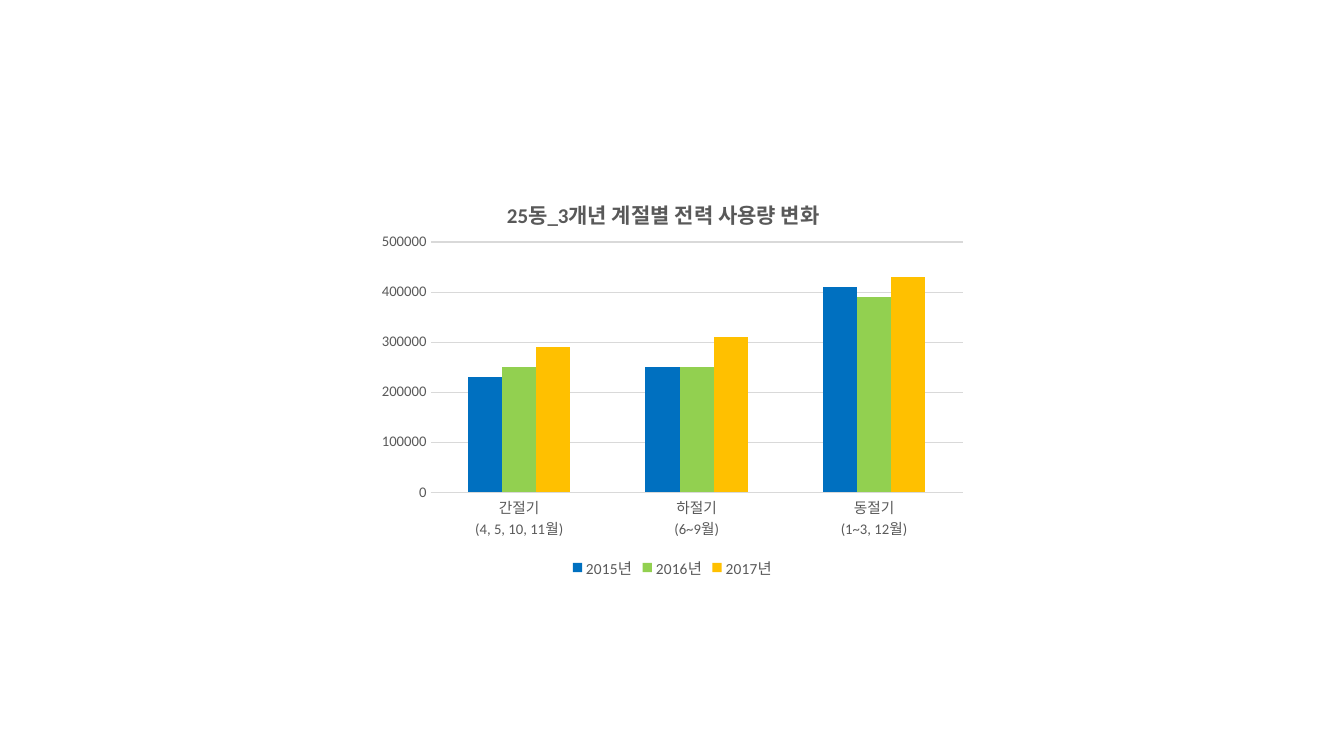
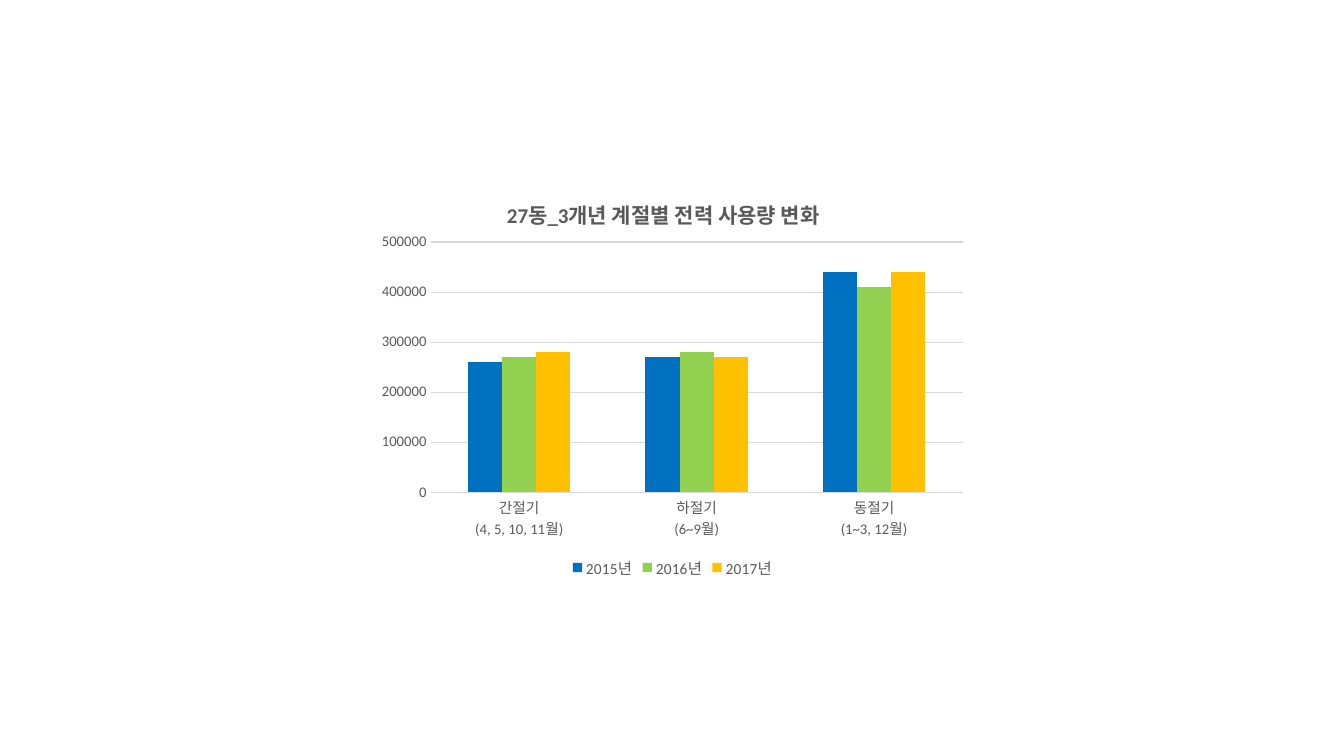
from dataclasses import dataclass

from lxml import etree
from pptx import Presentation
from pptx import util as u
from pptx.chart.data import CategoryChartData
from pptx.dml.color import RGBColor
from pptx.enum import chart as chart_enum
from pptx.oxml.ns import qn


@dataclass(frozen=True)
class Theme:
    font: str = "Calibri"
    text: str = "595959"
    line: str = "D9D9D9"
    series: tuple = ("0070C0", "92D050", "FFC000")
    title_size: float = 15
    axis_size: float = 10.5
    legend_size: float = 11
    line_width: float = 0.75


THEME = Theme()
CHART_BOX = (3.67, 1.71, 6, 4.07)
YEARS = ("2015년", "2016년", "2017년")
SEASONS = ("간절기\n(4, 5, 10, 11월)", "하절기\n(6~9월)", "동절기\n(1~3, 12월)")
USAGE_BY_BUILDING = {
    "25동": (
        (230000, 250000, 410000),
        (250000, 250000, 390000),
        (290000, 310000, 430000),
    ),
    "27동": (
        (260000, 270000, 440000),
        (270000, 280000, 410000),
        (280000, 270000, 440000),
    ),
}


def format_font(font, size, color=THEME.text, bold=False):
    font.name = THEME.font
    font.size = u.Pt(size)
    font.bold = bold
    font.color.rgb = RGBColor.from_string(color)


def write_text(text_frame, text, **font_format):
    paragraph = text_frame.paragraphs[0]
    run = paragraph.add_run()
    run.text = text
    format_font(run.font, **font_format)


def format_line(line):
    line.color.rgb = RGBColor.from_string(THEME.line)
    line.width = u.Pt(THEME.line_width)


def set_layout(element, index, **fractions):
    """Place a chart part by fractions of the chart size (x, y, w, h)."""
    for old_layout in element.findall(qn("c:layout")):
        element.remove(old_layout)
    layout = etree.Element(qn("c:layout"))
    manual = etree.SubElement(layout, qn("c:manualLayout"))
    settings = {"xMode": "edge", "yMode": "edge", **fractions}
    if "w" in fractions:
        settings = {"layoutTarget": "inner", **settings}
    for name, value in settings.items():
        etree.SubElement(manual, qn(f"c:{name}")).set("val", str(value))
    element.insert(index, layout)


def style_title(chart, title):
    chart.has_title = True
    write_text(chart.chart_title.text_frame, title, size=THEME.title_size, bold=True)
    set_layout(chart.chart_title._element, 1, x=0.22, y=0.05)


def style_axes(chart):
    for axis in (chart.category_axis, chart.value_axis):
        axis.major_tick_mark = chart_enum.XL_TICK_MARK.NONE
        axis.minor_tick_mark = chart_enum.XL_TICK_MARK.NONE
        format_font(axis.tick_labels.font, THEME.axis_size)
    format_line(chart.category_axis.format.line)

    value_axis = chart.value_axis
    value_axis.minimum_scale = 0
    value_axis.maximum_scale = 500000
    value_axis.major_unit = 100000
    value_axis.has_major_gridlines = True
    format_line(value_axis.major_gridlines.format.line)
    value_axis.format.line.fill.background()


def style_columns(chart):
    plot = chart.plots[0]
    plot.gap_width = 219
    plot.overlap = 0
    plot.vary_by_categories = False
    for series, color in zip(plot.series, THEME.series):
        series.format.fill.solid()
        series.format.fill.fore_color.rgb = RGBColor.from_string(color)
    plot_area = chart._chartSpace.find(".//" + qn("c:plotArea"))
    set_layout(plot_area, 0, x=0.1, y=0.17, w=0.88, h=0.61)


def style_legend(chart):
    chart.has_legend = True
    chart.legend.position = chart_enum.XL_LEGEND_POSITION.BOTTOM
    chart.legend.include_in_layout = False
    format_font(chart.legend.font, THEME.legend_size)


def add_usage_chart(slide, box, building, usage):
    data = CategoryChartData(number_format="General")
    data.categories = SEASONS
    for year, values in zip(YEARS, usage):
        data.add_series(year, values)
    chart = slide.shapes.add_chart(
        chart_enum.XL_CHART_TYPE.COLUMN_CLUSTERED, *map(u.Inches, box), data
    ).chart
    format_font(chart.font, 10, color="000000")
    style_title(chart, f"{building}_3개년 계절별 전력 사용량 변화")
    style_axes(chart)
    style_columns(chart)
    style_legend(chart)


def main():
    presentation = Presentation()
    presentation.slide_width = u.Inches(13.33)
    presentation.slide_height = u.Inches(7.5)
    blank = presentation.slide_layouts[6]
    for building, usage in USAGE_BY_BUILDING.items():
        slide = presentation.slides.add_slide(blank)
        add_usage_chart(slide, CHART_BOX, building, usage)
    presentation.save("out.pptx")


if __name__ == "__main__":
    main()
